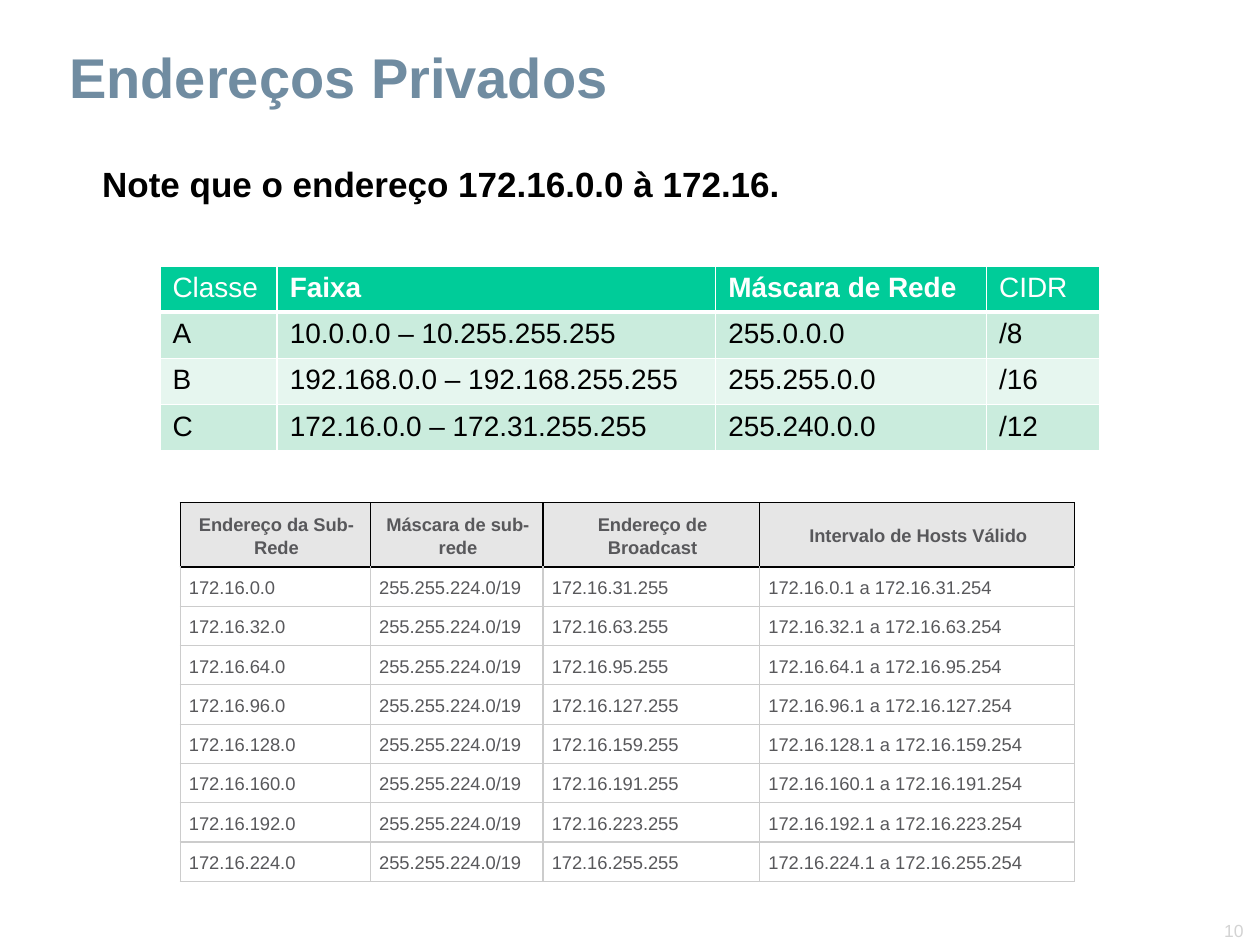
from dataclasses import dataclass

from lxml.etree import SubElement
from pptx import Presentation
from pptx.dml.color import RGBColor
from pptx.enum.text import MSO_ANCHOR as Anchor, PP_ALIGN as Align
from pptx.oxml.ns import qn
from pptx.util import Inches, Pt


@dataclass(frozen=True)
class Theme:
    font: str = "Arial"
    title: str = "708CA1"
    ink: str = "000000"
    paper: str = "FFFFFF"
    muted: str = "D3D3D3"
    green: str = "00CC99"
    bands: tuple = ("CAECDD", "E6F6EF")
    gray_text: str = "58585B"
    gray_head: str = "E6E6E6"
    gray_line: str = "CCCCCC"
    title_size: float = 32
    note_size: float = 20
    class_size: float = 16
    subnet_size: float = 10.5
    page_size: float = 10


class SlideBuilder:
    """Places elements on a grid of 100 columns by 75 rows."""

    def __init__(self, deck, theme):
        self.theme = theme
        self.column = deck.slide_width / 100
        self.row = deck.slide_height / 75
        self.slide = deck.slides.add_slide(deck.slide_layouts[6])

    def place(self, left, top, width, height):
        return (round(left * self.column), round(top * self.row),
                round(width * self.column), round(height * self.row))

    def style(self, para, size, color, bold=False, align=Align.LEFT, spacing=1.0):
        para.alignment = align
        para.line_spacing = spacing
        font = para.font
        font.name, font.size, font.bold = self.theme.font, Pt(size), bold
        font.color.rgb = RGBColor.from_string(color)

    def text(self, words, at, size, color, anchor=Anchor.TOP, **look):
        frame = self.slide.shapes.add_textbox(*self.place(*at)).text_frame
        frame.word_wrap = True
        frame.vertical_anchor = anchor
        frame.margin_left = frame.margin_right = Inches(0.09)
        frame.margin_top = frame.margin_bottom = Inches(0.04)
        para = frame.paragraphs[0]
        para.text = words
        self.style(para, size, color, **look)

    def table(self, rows, left, top, widths, heights):
        shape = self.slide.shapes.add_table(
            len(rows), len(widths),
            *self.place(left, top, sum(widths), sum(heights)))
        table = shape.table
        table.horz_banding = False
        for column, width in zip(table.columns, widths):
            column.width = round(width * self.column)
        for row, height in zip(table.rows, heights):
            row.height = round(height * self.row)
        return table

    def cell(self, cell, words, fill, edges, margins, size, color,
             anchor=Anchor.TOP, **look):
        cell.text = words
        cell.vertical_anchor = anchor
        cell.margin_left, cell.margin_right = map(Inches, margins)
        cell.margin_top = cell.margin_bottom = Inches(0.05)
        self.style(cell.text_frame.paragraphs[0], size, color, **look)
        self.borders(cell, edges)
        cell.fill.solid()
        cell.fill.fore_color.rgb = RGBColor.from_string(fill)

    def borders(self, cell, edges):
        """Draw (color, points) edges in the order left, right, top, bottom."""
        properties = cell._tc.get_or_add_tcPr()
        for side, (color, points) in zip("LRTB", edges):
            line = SubElement(properties, qn(f"a:ln{side}"), w=str(Pt(points)))
            paint = SubElement(line, qn("a:solidFill"))
            SubElement(paint, qn("a:srgbClr"), val=color)

    def class_table(self, rows, left, top, widths, height):
        theme = self.theme
        table = self.table(rows, left, top, widths, [height] * len(rows))
        thin, thick = (theme.paper, 1), (theme.paper, 3)
        for r, row in enumerate(rows):
            head = r == 0
            fill = theme.green if head else theme.bands[(r - 1) % 2]
            edges = (thin, thin, thick if r == 1 else thin, thick if head else thin)
            for c, words in enumerate(row):
                self.cell(table.cell(r, c), words, fill, edges, (0.1, 0.1),
                          theme.class_size, theme.paper if head else theme.ink,
                          bold=head and c in (1, 2))

    def subnet_table(self, rows, left, top, widths, head_height, height):
        theme = self.theme
        heights = [head_height] + [height] * (len(rows) - 1)
        table = self.table(rows, left, top, widths, heights)
        dark, light = (theme.ink, 0.75), (theme.gray_line, 0.75)
        for r, row in enumerate(rows):
            head = r == 0
            side = dark if head else light
            edges = (side, side, dark if r < 2 else light, side)
            for c, words in enumerate(row):
                self.cell(table.cell(r, c), words,
                          theme.gray_head if head else theme.paper,
                          edges, (0.07, 0.05), theme.subnet_size, theme.gray_text,
                          anchor=Anchor.MIDDLE, bold=head, spacing=1.15,
                          align=Align.CENTER if head else Align.LEFT)


CLASSES = [
    ("Classe", "Faixa", "Máscara de Rede", "CIDR"),
    ("A", "10.0.0.0 – 10.255.255.255", "255.0.0.0", "/8"),
    ("B", "192.168.0.0 – 192.168.255.255", "255.255.0.0", "/16"),
    ("C", "172.16.0.0 – 172.31.255.255", "255.240.0.0", "/12"),
]

# A /19 mask splits 172.16.0.0 into blocks of 32
BLOCK = 32
SUBNETS = [("Endereço da Sub-Rede", "Máscara de sub-rede",
            "Endereço de Broadcast", "Intervalo de Hosts Válido")]
for first in range(0, 256, BLOCK):
    last = first + BLOCK - 1
    SUBNETS.append((f"172.16.{first}.0", "255.255.224.0/19", f"172.16.{last}.255",
                    f"172.16.{first}.1 a 172.16.{last}.254"))


def main():
    deck = Presentation()
    deck.slide_width, deck.slide_height = Inches(10), Inches(7.5)
    theme = Theme()
    page = SlideBuilder(deck, theme)

    # Page number
    page.text("10", (91.5, 72.5, 8.1, 2.6), theme.page_size, theme.muted,
              anchor=Anchor.BOTTOM, align=Align.RIGHT)

    # Note
    page.text("Note que o endereço 172.16.0.0 à 172.16.", (7.2, 13, 86.8, 29.9),
              theme.note_size, theme.ink, bold=True, align=Align.JUSTIFY,
              spacing=0.85)

    # Subnets
    page.subnet_table(SUBNETS, 14.3, 39.9, (15.1, 13.7, 17.2, 25), 5.1, 3.12)

    # Title
    page.text("Endereços Privados", (4.6, 0, 84.5, 9.2), theme.title_size,
              theme.title, anchor=Anchor.BOTTOM, bold=True, spacing=0.9)

    # Private ranges by class
    page.class_table(CLASSES, 12.7, 21.1, (9.3, 34.8, 21.5, 9), 3.66)

    deck.save("out.pptx")


if __name__ == "__main__":
    main()
